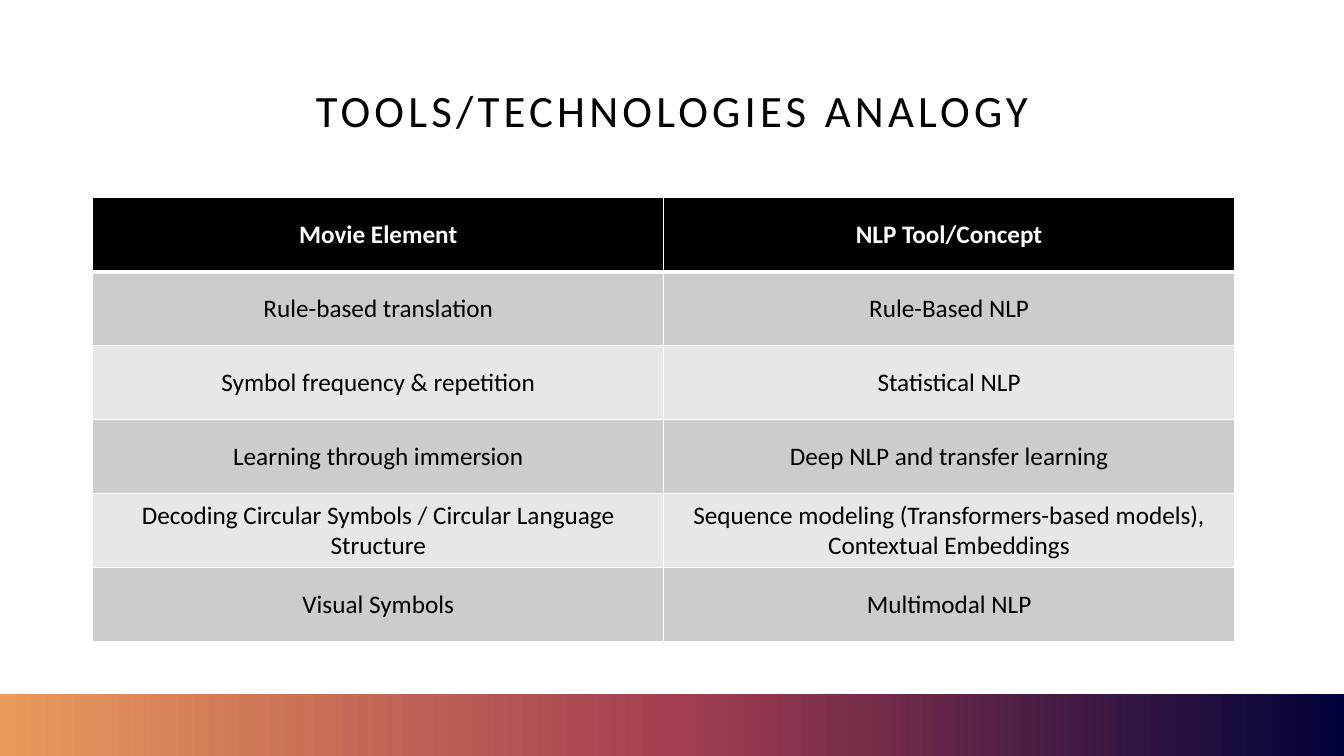
from copy import deepcopy

from lxml import etree
from pptx import Presentation
from pptx import util as u
from pptx.dml.color import RGBColor
from pptx.enum import shapes, text
from pptx.oxml.ns import qn


def paint(color, value):
    color.rgb = RGBColor.from_string(value)


def add_border(cell, side, points):
    properties = cell._tc.get_or_add_tcPr()
    line = etree.SubElement(properties, qn(f"a:ln{side}"), w=str(u.Pt(points)))
    fill = etree.SubElement(line, qn("a:solidFill"))
    etree.SubElement(fill, qn("a:srgbClr"), val="FFFFFF")


deck = Presentation()
deck.slide_width = u.Cm(33.87)
deck.slide_height = u.Cm(19.05)
page = deck.slides.add_slide(deck.slide_layouts[6])

bar = page.shapes.add_shape(
    shapes.MSO_SHAPE.RECTANGLE, 0, u.Cm(17.5), deck.slide_width, u.Cm(1.55)
)
bar.shadow.inherit = False
bar.line.fill.background()
bar.fill.gradient()
bar.fill.gradient_angle = 180
first_stop = bar._element.spPr.find(".//" + qn("a:gs"))
first_stop.addnext(deepcopy(first_stop))
bar_colors = ["00023A", "A53F51", "E99A5B"]
for stop, position, value in zip(bar.fill.gradient_stops, [0, 0.5, 1], bar_colors):
    stop.position = position
    paint(stop.color, value)

title_box = page.shapes.add_textbox(u.Cm(2.34), u.Cm(1.02), u.Cm(29.21), u.Cm(3.68))
title_box.text_frame.word_wrap = True
title_box.text_frame.vertical_anchor = text.MSO_ANCHOR.MIDDLE
para = title_box.text_frame.paragraphs[0]
para.alignment = text.PP_ALIGN.CENTER
para.line_spacing = 0.9
span = para.add_run()
span.text = "TOOLS/TECHNOLOGIES ANALOGY"
span.font.name = "Calibri"
span.font.size = u.Pt(32)
paint(span.font.color, "000000")
span.font._element.set("spc", "300")

rows = [
    ("Movie Element", "NLP Tool/Concept"),
    ("Rule-based translation", "Rule-Based NLP"),
    ("Symbol frequency & repetition", "Statistical NLP"),
    ("Learning through immersion", "Deep NLP and transfer learning"),
    (
        "Decoding Circular Symbols / Circular Language Structure",
        "Sequence modeling (Transformers-based models),\nContextual Embeddings",
    ),
    ("Visual Symbols", "Multimodal NLP"),
]
table = page.shapes.add_table(
    len(rows), 2, u.Cm(2.34), u.Cm(4.98), u.Cm(28.77), u.Cm(11.2)
).table

for row_index, row in enumerate(rows):
    is_header = row_index == 0
    band = "CCCCCC" if row_index % 2 else "E7E7E7"
    for column_index, wording in enumerate(row):
        cell = table.cell(row_index, column_index)
        for side in "LRTB":
            thick = (is_header and side == "B") or (row_index == 1 and side == "T")
            add_border(cell, side, 3 if thick else 1)
        cell.fill.solid()
        paint(cell.fill.fore_color, "000000" if is_header else band)
        cell.vertical_anchor = text.MSO_ANCHOR.MIDDLE
        cell.text_frame.text = wording
        for para in cell.text_frame.paragraphs:
            para.alignment = text.PP_ALIGN.CENTER
            para.font.name = "Calibri"
            para.font.size = u.Pt(18)
            para.font.bold = is_header
            paint(para.font.color, "FFFFFF" if is_header else "000000")

deck.save("out.pptx")
